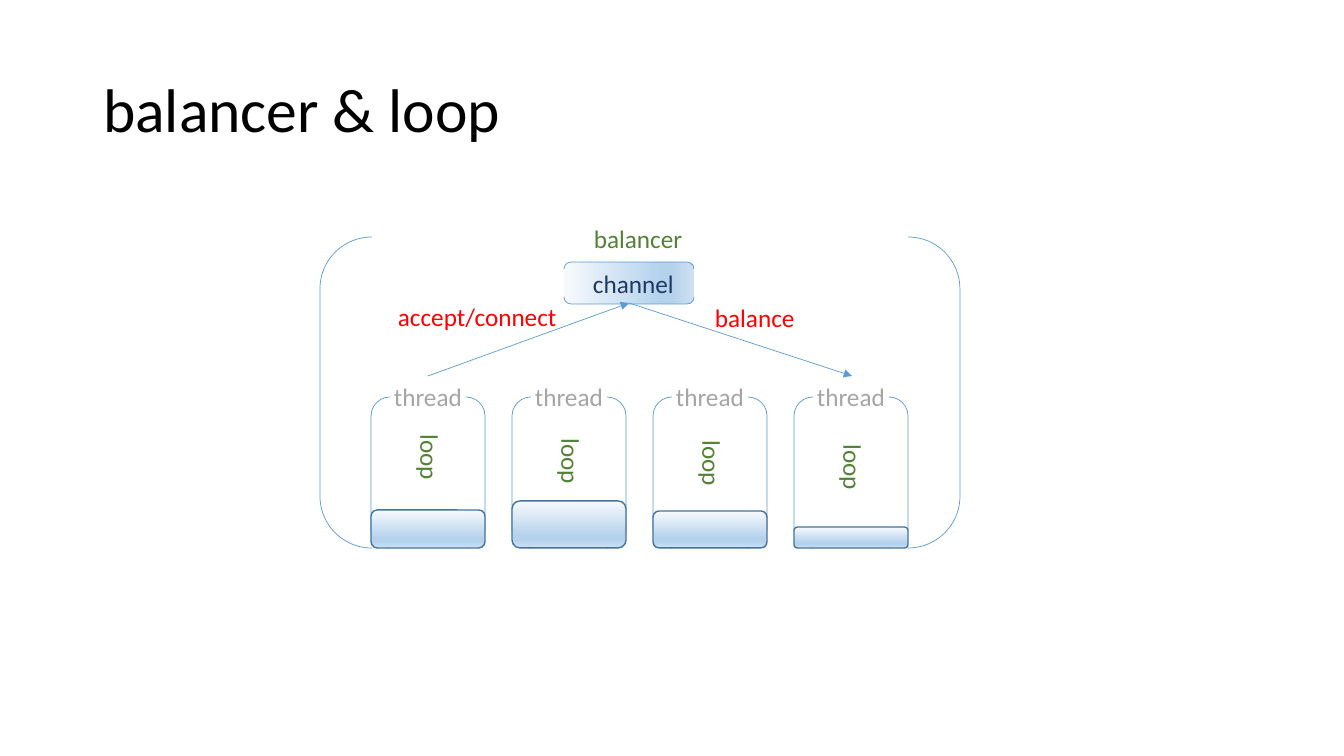
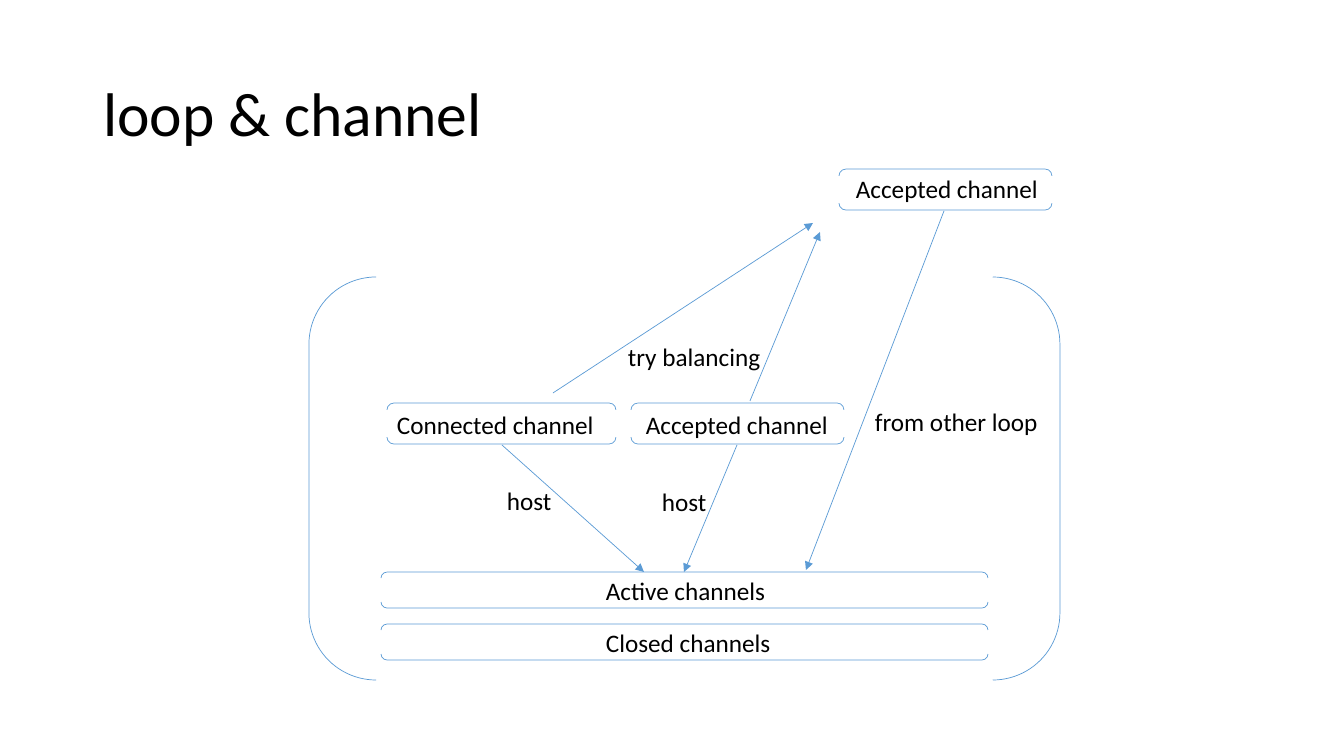
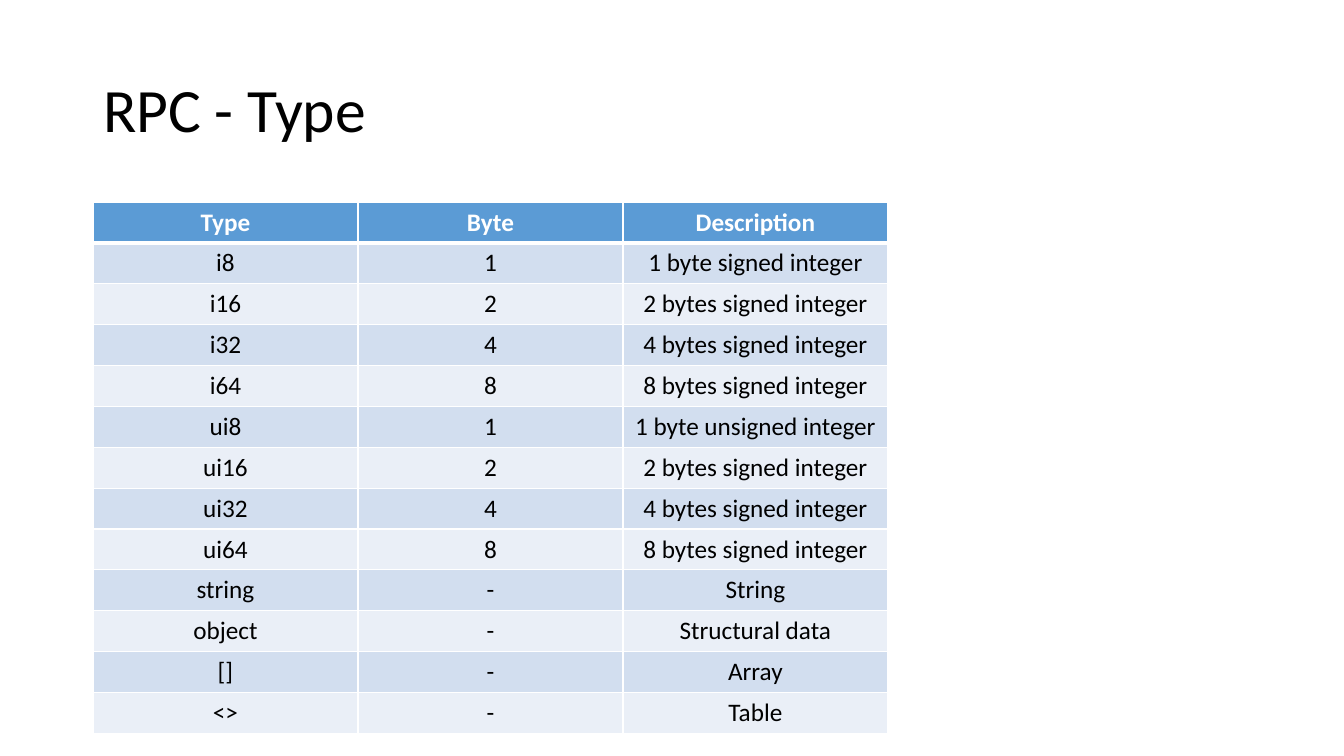
"""Build three slides on a balancer, its loops and channels, and the RPC types."""
from lxml import etree
from pptx import Presentation
from pptx import util as u
from pptx.dml.color import RGBColor
from pptx.enum import shapes, text
from pptx.oxml.ns import qn

COLORS = {
    "black": "000000", "white": "FFFFFF", "blue": "5B9BD5", "edge": "43739E",
    "green": "548235", "grey": "A5A5A5", "red": "FF0000", "navy": "203864",
    "band_dark": "D2DEEF", "band_light": "EAEFF7",
}
GRADIENT = [(0, "F7FAFD"), (74, "B5D2EC"), (83, "B5D2EC"), (100, "CEE1F2")]
BODY = {"name": "Calibri", "size": u.Pt(18)}
HEADING = {"name": "Calibri", "size": u.Pt(44)}
PX = 12192000 / 1344
LABEL_H = 40

BALANCER_FRAME = (320, 237, 640, 311)
CHANNEL_BOX = (564, 262, 130, 42)
BALANCER_LABELS = [
    ("balancer", 584, 218, 110, "green"),
    ("channel", 583, 263, 102, "navy"),
    ("balance", 705, 297, 101, "red"),
    ("accept/connect", 388, 296, 180, "red"),
]
BALANCER_ARROWS = [(629, 303, 852, 376), (428, 376, 629, 303)]
THREAD = (371, 397, 114, 151)
THREAD_STEP = 141
THREADS = [(438, 38), (442, 47), (444, 37), (448, 21)]

LOOP_FRAME = (309, 277, 751, 403)
CHANNEL_BOXES = [
    (381, 572, 607, 36), (381, 624, 607, 36),
    (631, 403, 213, 41), (387, 403, 229, 41), (839, 169, 213, 41),
]
LOOP_LABELS = [
    ("Active channels", 596, 570, 181),
    ("Closed channels", 596, 622, 186),
    ("Accepted channel", 636, 404, 205),
    ("Connected channel", 387, 404, 220),
    ("Accepted channel", 846, 168, 205),
    ("host", 497, 480, 66),
    ("host", 652, 481, 66),
    ("try balancing", 618, 336, 154),
    ("from other loop", 865, 401, 185),
]
LOOP_ARROWS = [
    (502, 445, 644, 572), (737, 445, 684, 572), (750, 401, 820, 232),
    (944, 211, 806, 570), (553, 393, 813, 223),
]

TYPE_TABLE = (93, 202, 795, 531)
TYPES = [
    ("Type", "Byte", "Description"),
    ("i8", "1", "1 byte signed integer"),
    ("i16", "2", "2 bytes signed integer"),
    ("i32", "4", "4 bytes signed integer"),
    ("i64", "8", "8 bytes signed integer"),
    ("ui8", "1", "1 byte unsigned integer"),
    ("ui16", "2", "2 bytes signed integer"),
    ("ui32", "4", "4 bytes signed integer"),
    ("ui64", "8", "8 bytes signed integer"),
    ("string", "-", "String"),
    ("object", "-", "Structural data"),
    ("[]", "-", "Array"),
    ("<>", "-", "Table"),
]


def px(*values):
    return [u.Emu(round(v * PX)) for v in values]


def rgb(name):
    return RGBColor.from_string(COLORS[name])


def write(p, words, color, style=BODY, **extra):
    r = p.add_run()
    r.text = words
    for key, value in {**style, **extra}.items():
        setattr(r.font, key, value)
    r.font.color.rgb = rgb(color)


def add_slide(title, top=40):
    slide = prs.slides.add_slide(prs.slide_layouts[5])
    sp = slide.shapes.title
    sp.left, sp.top, sp.width, sp.height = px(93, top, 1159, 146)
    tf = sp.text_frame
    tf.vertical_anchor = text.MSO_ANCHOR.MIDDLE
    p = tf.paragraphs[0]
    p.alignment, p.line_spacing = text.PP_ALIGN.LEFT, 0.9
    write(p, title, "black", HEADING)
    return slide


def add_label(slide, words, x, y, w, color="black", turn=0):
    sp = slide.shapes.add_textbox(*px(x, y, w, LABEL_H))
    sp.rotation = turn
    tf = sp.text_frame
    tf.word_wrap = False
    tf.auto_size = text.MSO_AUTO_SIZE.SHAPE_TO_FIT_TEXT
    write(tf.paragraphs[0], words, color)


def fill_gradient(sp):
    sp.fill.gradient()
    sp.fill.gradient_angle = 270
    stops = sp._element.spPr.find(".//" + qn("a:gsLst"))
    for stop in list(stops):
        stops.remove(stop)
    for percent, color in GRADIENT:
        stop = etree.SubElement(stops, qn("a:gs"), pos=str(percent * 1000))
        etree.SubElement(stop, qn("a:srgbClr"), val=color)


def add_box(slide, kind, box, line="blue", width=0.5, gradient=False):
    sp = slide.shapes.add_shape(kind, *px(*box))
    sp.shadow.inherit = False
    sp.line.color.rgb, sp.line.width = rgb(line), u.Pt(width)
    if gradient:
        fill_gradient(sp)
    else:
        sp.fill.background()
    return sp


def add_brackets(slide, box):
    return add_box(slide, shapes.MSO_SHAPE.DOUBLE_BRACKET, box)


def add_flat_brackets(slide, box, gradient=False):
    x, y, w, h = box
    upright = (x + (w - h) / 2, y + (h - w) / 2, h, w)
    sp = add_box(slide, shapes.MSO_SHAPE.DOUBLE_BRACKET, upright, gradient=gradient)
    sp.rotation = 270


def add_arrow(slide, ends):
    c = slide.shapes.add_connector(shapes.MSO_CONNECTOR.STRAIGHT, *px(*ends))
    c.line.color.rgb, c.line.width = rgb("blue"), u.Pt(0.5)
    etree.SubElement(c.line._get_or_add_ln(), qn("a:tailEnd"), type="triangle")
    etree.SubElement(c._element.spPr, qn("a:effectLst"))


def set_borders(cell, **widths):
    tc_pr = cell._tc.get_or_add_tcPr()
    for side in "LRTB":
        points = widths.get(side, 1)
        ln = etree.SubElement(tc_pr, qn("a:ln" + side), w=str(u.Pt(points)))
        solid = etree.SubElement(ln, qn("a:solidFill"))
        etree.SubElement(solid, qn("a:srgbClr"), val=COLORS["white"])


def build_balancer():
    slide = add_slide("balancer & loop")
    left, top, w, h = THREAD
    for i, (loop_y, _) in enumerate(THREADS):
        x = left + i * THREAD_STEP
        add_brackets(slide, (x, top, w, h))
        add_label(slide, "loop", x + 26, loop_y, 67, "green", 90)
        add_label(slide, "thread", x + 13, 376, 89, "grey")
    add_brackets(slide, BALANCER_FRAME)
    add_flat_brackets(slide, CHANNEL_BOX, gradient=True)
    for label in BALANCER_LABELS:
        add_label(slide, *label)
    for ends in BALANCER_ARROWS:
        add_arrow(slide, ends)
    for i, (_, load) in enumerate(THREADS):
        box = (left + i * THREAD_STEP, top + h - load, w, load)
        add_box(slide, shapes.MSO_SHAPE.ROUNDED_RECTANGLE, box, "edge", 1, True)


def build_loop():
    slide = add_slide("loop & channel", 44)
    add_brackets(slide, LOOP_FRAME)
    for box in CHANNEL_BOXES:
        add_flat_brackets(slide, box)
    for label in LOOP_LABELS:
        add_label(slide, *label)
    for ends in LOOP_ARROWS:
        add_arrow(slide, ends)


def build_types():
    slide = add_slide("RPC - Type")
    frame = slide.shapes.add_table(len(TYPES), len(TYPES[0]), *px(*TYPE_TABLE))
    for i, row in enumerate(TYPES):
        head = i == 0
        band = "blue" if head else "band_dark" if i % 2 else "band_light"
        for j, words in enumerate(row):
            cell = frame.table.cell(i, j)
            set_borders(cell, B=3 if head else 1, T=3 if i == 1 else 1)
            cell.fill.solid()
            cell.fill.fore_color.rgb = rgb(band)
            p = cell.text_frame.paragraphs[0]
            p.alignment = text.PP_ALIGN.CENTER
            write(p, words, "white" if head else "black", bold=head)


prs = Presentation()
prs.slide_width, prs.slide_height = px(1344, 756)
build_balancer()
build_loop()
build_types()
prs.save("out.pptx")
